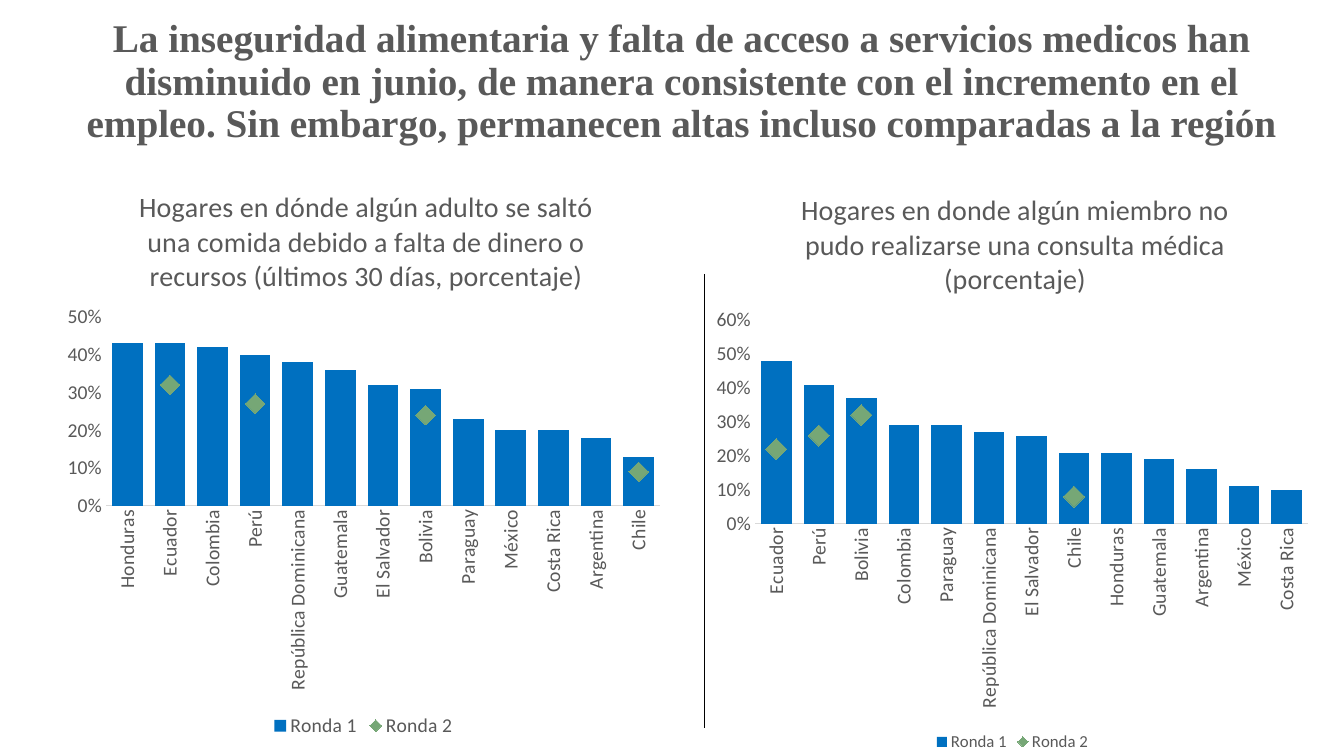
from pptx import Presentation
from pptx.chart.data import CategoryChartData
from pptx.dml.color import RGBColor
from pptx.enum.chart import XL_CHART_TYPE, XL_LEGEND_POSITION, XL_MARKER_STYLE, XL_TICK_MARK
from pptx.enum.shapes import MSO_CONNECTOR
from pptx.enum.text import MSO_ANCHOR, PP_ALIGN
from pptx.oxml import parse_xml
from pptx.oxml.ns import nsdecls, qn
from pptx.util import Emu, Pt

COLUMNS = XL_CHART_TYPE.COLUMN_CLUSTERED
BOTTOM = XL_LEGEND_POSITION.BOTTOM
DIAMOND = XL_MARKER_STYLE.DIAMOND
NO_TICK = XL_TICK_MARK.NONE
STRAIGHT = MSO_CONNECTOR.STRAIGHT
MIDDLE = MSO_ANCHOR.MIDDLE
CENTER = PP_ALIGN.CENTER

GRAY = RGBColor(0x59, 0x59, 0x59)
LIGHT_GRAY = RGBColor(0xD9, 0xD9, 0xD9)
BLACK = RGBColor(0, 0, 0)
BLUE = RGBColor(0x00, 0x70, 0xC0)
GREEN = RGBColor(0x76, 0xA7, 0x76)

SLIDE_WIDTH, SLIDE_HEIGHT = 1344, 756
EMU_PER_PX = 12192000 / SLIDE_WIDTH


def px(length):
    return Emu(round(length * EMU_PER_PX))


class SlideBuilder:
    heading_font = "Times New Roman"
    chart_font = "Calibri"

    def __init__(self, presentation):
        self.slide = presentation.slides.add_slide(presentation.slide_layouts[6])

    def style(self, font, size, color=GRAY, name=chart_font, bold=False):
        font.size, font.name, font.bold = Pt(size), name, bold
        font.color.rgb = color

    def heading(self, box, text):
        shape = self.slide.shapes.add_textbox(*map(px, box))
        frame = shape.text_frame
        frame.word_wrap = True
        frame.vertical_anchor = MIDDLE
        paragraph = frame.paragraphs[0]
        paragraph.text = text
        paragraph.alignment = CENTER
        paragraph.line_spacing = 0.9
        self.style(paragraph.font, 28, name=self.heading_font, bold=True)

    def divider(self, x, top, bottom):
        line = self.slide.shapes.add_connector(STRAIGHT, px(x), px(top), px(x), px(bottom))
        line.line.color.rgb = BLACK
        line.line.width = Pt(0.5)
        line._element.spPr.append(parse_xml(f"<a:effectLst {nsdecls('a')}/>"))

    def place(self, element, index, box, area, inner=False):
        """Fix a chart part at a px area (left, top[, width, height]) of the slide."""
        for layout in element.findall(qn("c:layout")):
            element.remove(layout)
        left, top, width, height = box
        shares = [(area[0] - left) / width, (area[1] - top) / height]
        shares += [side / total for side, total in zip(area[2:], (width, height))]
        tags = '<c:layoutTarget val="inner"/>' if inner else ""
        tags += '<c:xMode val="edge"/><c:yMode val="edge"/>'
        tags += "".join(f'<c:{tag} val="{share:.4f}"/>' for tag, share in zip("xywh", shares))
        element.insert(index, parse_xml(
            f"<c:layout {nsdecls('c')}><c:manualLayout>{tags}</c:manualLayout></c:layout>"))

    def move_to_line_plot(self, chart):
        """Turn the second column series into a line series on the same axes."""
        bars = chart.plots[0]._element
        series = bars.findall(qn("c:ser"))[1]
        bars.remove(series)
        for element in series.findall(qn("c:invertIfNegative")):
            series.remove(element)
        axes = "".join(f'<c:axId val="{axis.get("val")}"/>' for axis in bars.findall(qn("c:axId")))
        lines = parse_xml(
            f'<c:lineChart {nsdecls("c")}><c:grouping val="standard"/>'
            f'<c:varyColors val="0"/><c:marker val="1"/>{axes}</c:lineChart>')
        lines.insert(2, series)
        bars.addnext(lines)

    def chart(self, box, plot_area, title, title_at, rows, maximum, legend_size, marker_size):
        data = CategoryChartData(number_format="0%")
        data.categories = [row[0] for row in rows]
        data.add_series("Ronda 1", [row[1] for row in rows])
        data.add_series("Ronda 2", [row[2] if len(row) > 2 else None for row in rows])
        chart = self.slide.shapes.add_chart(COLUMNS, *map(px, box), data).chart
        self.style(chart.font, 10, BLACK)

        # Title and legend
        frame = chart.chart_title.text_frame
        frame.text = title
        for paragraph in frame.paragraphs:
            paragraph.alignment = CENTER
            self.style(paragraph.font, 20)
        self.place(chart.chart_title._element, 1, box, title_at)
        chart.has_legend = True
        chart.legend.position = BOTTOM
        chart.legend.include_in_layout = False
        self.style(chart.legend.font, legend_size)

        # Axes
        for axis in (chart.category_axis, chart.value_axis):
            axis.major_tick_mark = axis.minor_tick_mark = NO_TICK
            axis.has_major_gridlines = False
            self.style(axis.tick_labels.font, 14)
        categories, values = chart.category_axis, chart.value_axis
        categories.format.line.color.rgb = LIGHT_GRAY
        categories.format.line.width = Pt(0.75)
        categories._element.find(qn("c:txPr")).find(qn("a:bodyPr")).set("rot", "-5400000")
        values.format.line.fill.background()
        values.minimum_scale, values.maximum_scale, values.major_unit = 0, maximum, 0.1
        values.tick_labels.number_format = "0%"
        values.tick_labels.number_format_is_linked = False

        # Columns and diamonds
        self.move_to_line_plot(chart)
        columns, lines = chart.plots
        columns.gap_width, columns.overlap = 39, -27
        columns.vary_by_categories = False
        first, second = columns.series[0], lines.series[0]
        first.format.fill.solid()
        first.format.fill.fore_color.rgb = BLUE
        second.smooth = False
        second.format.line.fill.background()
        second.marker.style, second.marker.size = DIAMOND, marker_size
        second.marker.format.fill.solid()
        second.marker.format.fill.fore_color.rgb = GREEN
        second.marker.format.line.fill.background()
        self.place(chart._chartSpace.chart.plotArea, 0, box, plot_area, inner=True)


MEALS = [
    ("Honduras", 0.43), ("Ecuador", 0.43, 0.32), ("Colombia", 0.42), ("Perú", 0.40, 0.27),
    ("República Dominicana", 0.38), ("Guatemala", 0.36), ("El Salvador", 0.32),
    ("Bolivia", 0.31, 0.24), ("Paraguay", 0.23), ("México", 0.20), ("Costa Rica", 0.20),
    ("Argentina", 0.18), ("Chile", 0.13, 0.09),
]
DOCTOR = [
    ("Ecuador", 0.48, 0.22), ("Perú", 0.41, 0.26), ("Bolivia", 0.37, 0.32), ("Colombia", 0.29),
    ("Paraguay", 0.29), ("República Dominicana", 0.27), ("El Salvador", 0.26),
    ("Chile", 0.21, 0.08), ("Honduras", 0.21), ("Guatemala", 0.19), ("Argentina", 0.16),
    ("México", 0.11), ("Costa Rica", 0.10),
]


def main():
    presentation = Presentation()
    presentation.slide_width, presentation.slide_height = px(SLIDE_WIDTH), px(SLIDE_HEIGHT)
    builder = SlideBuilder(presentation)

    builder.heading(
        (55, 8, 1253, 149),
        "La inseguridad alimentaria y falta de acceso a servicios medicos han disminuido en junio, "
        "de manera consistente con el incremento en el empleo. Sin embargo, permanecen altas "
        "incluso comparadas a la región")
    builder.divider(704, 274, 728)

    # Skipped meals
    builder.chart(
        (55, 162, 617, 580), (106, 317, 554, 189),
        "Hogares en dónde algún adulto se saltó\nuna comida debido a falta de dinero o\n"
        "recursos (últimos 30 días, porcentaje)",
        (136, 185), MEALS, maximum=0.5, legend_size=14, marker_size=14)

    # Missed medical visits
    builder.chart(
        (704, 164, 617, 592), (755, 320, 553, 204),
        "Hogares en donde algún miembro no\npudo realizarse una consulta médica\n(porcentaje)",
        (798, 188), DOCTOR, maximum=0.6, legend_size=12, marker_size=15)

    presentation.save("out.pptx")


if __name__ == "__main__":
    main()
